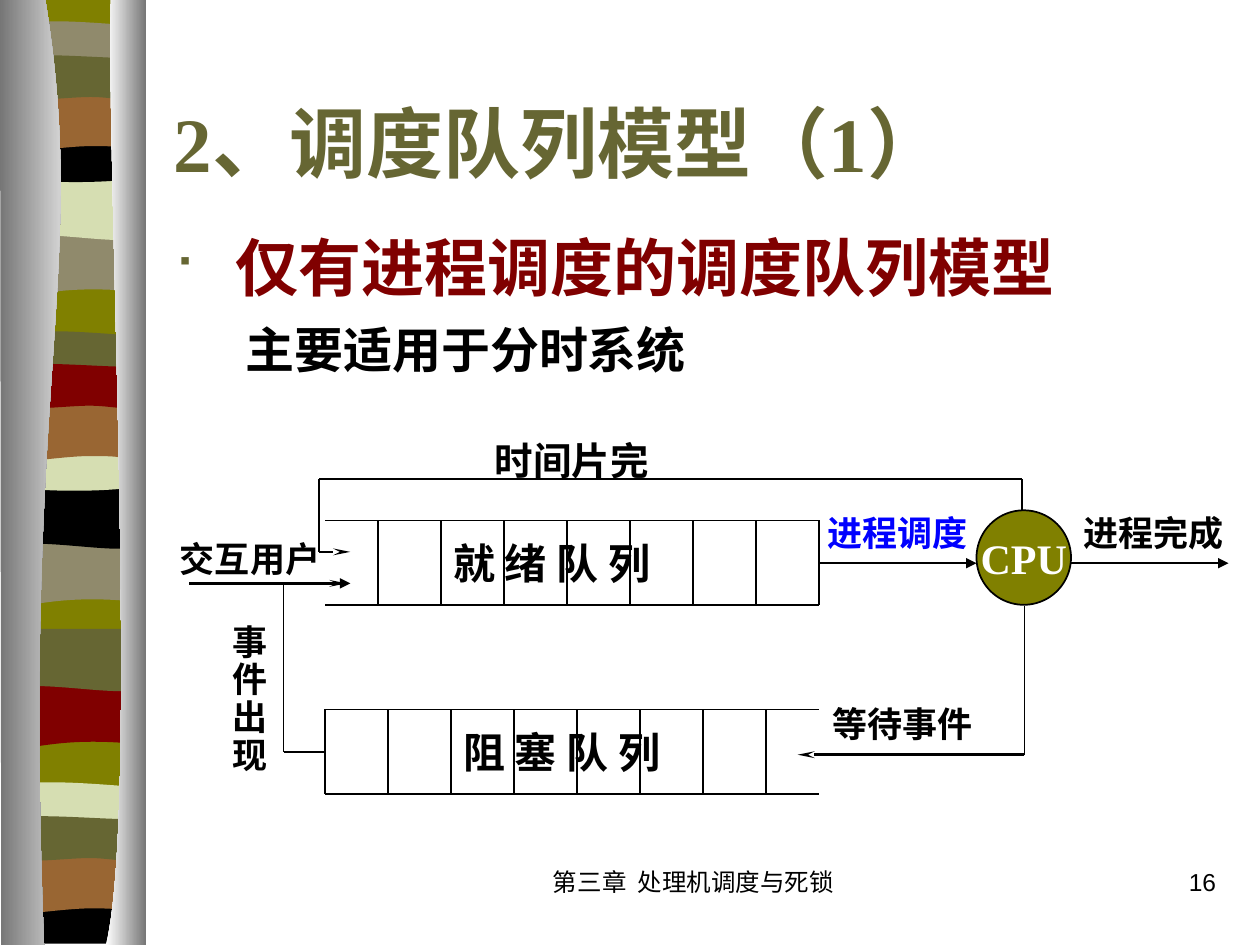
from pptx import Presentation
from pptx.dml.color import RGBColor
from pptx.enum.shapes import MSO_CONNECTOR, MSO_SHAPE
from pptx.enum.text import MSO_ANCHOR, PP_ALIGN
from pptx.oxml.ns import qn
from pptx.util import Inches, Pt
from lxml.etree import SubElement

BLACK = RGBColor(0x00, 0x00, 0x00)
WHITE = RGBColor(0xFF, 0xFF, 0xFF)
OLIVE = RGBColor(0x80, 0x80, 0x00)
MOSS = RGBColor(0x66, 0x66, 0x33)
STONE = RGBColor(0x90, 0x8A, 0x6C)
PALE = RGBColor(0xD6, 0xDE, 0xB2)
BROWN = RGBColor(0x99, 0x66, 0x33)
MAROON = RGBColor(0x80, 0x00, 0x00)
BLUE = RGBColor(0x00, 0x00, 0xFF)
GREY = RGBColor(0x76, 0x76, 0x76)

SERIF, CJK, SANS = "Times New Roman", "Noto Sans CJK SC", "Arial"

# Stripe outlines from their top left corner: 2 numbers are a line, 6 a curve
LOW_WAVE = [(1.08, 0), (1.08, 0.47), (0.33, 0.39, 0.18, 0.55, 0, 0.47), (0, 0)]
HIGH_WAVE = [(1.08, 0), (1.08, 0.47), (0.9, 0.55, 0.33, 0.41, 0, 0.47), (0, 0)]
CREST = [(1.08, 0.05), (1.08, 0.29), (0.9, 0.33, 0.18, 0.33, 0, 0.29), (0, 0.05),
         (0.06, 0, 0.23, 0.01, 0.41, 0.01), (0.59, 0.01, 0.94, 0.04, 1.08, 0.05)]
BOWL = [(1.08, 0), (1.08, 0.32), (0.9, 0.38, 0.18, 0.38, 0, 0.32), (0, 0),
        (0.66, 0.05, 0.85, 0, 1.08, 0)]
TROUGH = [(1.08, 0), (1.08, 0.37), (0.01, 0.37), (0, 0), (0.66, 0.05, 0.85, 0, 1.08, 0)]
ARCH = [(1.08, 0), (1.08, 0.47), (0.91, 0.42, 0.84, 0.42, 0.66, 0.42),
        (0.48, 0.42, 0.16, 0.47, 0, 0.47), (0, 0)]
RIPPLE = [(1.08, 0.05), (1.08, 0.36), (1.01, 0.41, 0.84, 0.36, 0.66, 0.36),
          (0.48, 0.36, 0.11, 0.41, 0, 0.36), (0, 0.05),
          (0.15, 0, 0.73, 0.05, 0.91, 0.05), (1.09, 0.05, 1.04, 0.05, 1.08, 0.05)]
BASE = [(1.08, 0), (1.08, 7.48), (0, 7.48), (0, 0)]

# Outline, left, top, colour, from back to front
STRIPES = [
    (BASE, 0.06, -0.01, OLIVE),
    (LOW_WAVE, 0.06, 1.85, STONE), (HIGH_WAVE, 0.06, 1.41, PALE),
    (CREST, 0.06, 0.16, STONE), (BOWL, 0.06, 1.08, BLACK),
    (ARCH, 0.06, 0.74, BROWN), (RIPPLE, 0.06, 0.41, MOSS),
    (LOW_WAVE, 0.05, 4.31, STONE), (HIGH_WAVE, 0.05, 3.86, BLACK),
    (CREST, 0.05, 2.62, MOSS), (BOWL, 0.05, 3.53, PALE),
    (ARCH, 0.05, 3.2, BROWN), (RIPPLE, 0.05, 2.86, MAROON),
    (LOW_WAVE, 0.06, 5.44, MAROON), (HIGH_WAVE, 0.06, 4.99, MOSS),
    (CREST, 0.05, 6.2, PALE), (TROUGH, 0.05, 7.12, BLACK),
    (ARCH, 0.05, 6.79, BROWN), (RIPPLE, 0.05, 6.45, MOSS),
]
LEFT_CURTAIN = [(0.36, 0), (0.71, 2.16, 0.17, 2.96, 0.35, 7.5), (0.01, 7.5), (0, 0)]
RIGHT_CURTAIN = [(0.88, 0), (0.84, 1.25, 1.11, 6.46, 0.84, 7.5), (1.16, 7.5), (1.16, 0)]

# Text, left, top, width, height, size, colour
LABELS = [
    ("就 绪 队 列", 3.5, 4.22, 2.25, 0.5, 24, BLACK),
    ("阻 塞 队 列", 3.58, 5.72, 2.25, 0.5, 24, BLACK),
    ("时间片完", 3.83, 3.42, 1.67, 0.47, 22, BLACK),
    ("进程调度", 6.47, 4.01, 1.33, 0.44, 20, BLUE),
    ("等待事件", 6.51, 5.53, 1.33, 0.44, 20, BLACK),
    ("进程完成", 8.5, 4.01, 1.5, 0.44, 20, BLACK),
    ("交互用户", 1.33, 4.22, 1.67, 0.44, 20, BLACK),
]
# x1, y1, x2, y2, arrowhead
ARROWS = [
    (6.5, 4.47, 7.75, 4.47, "triangle"), (8.5, 4.47, 9.75, 4.47, "triangle"),
    (1.53, 4.63, 2.78, 4.63, "triangle"), (1.5, 4.63, 2.75, 4.63, "stealth"),
    (2.53, 4.38, 2.78, 4.38, "stealth"), (8.13, 5.99, 6.33, 5.99, "stealth"),
]
LINKS = [
    (8.11, 4.05, 8.11, 3.8), (8.11, 3.8, 2.53, 3.8), (2.53, 3.8, 2.53, 4.38),
    (8.13, 4.81, 8.13, 5.99), (2.58, 5.97, 2.25, 5.97), (2.25, 5.97, 2.25, 4.63),
]


def add_outline(page, outline, left=0, top=0):
    """A closed outline; each curve's three segments become one Bézier curve."""
    places = [(Inches(left + part[i]), Inches(top + part[i + 1]))
              for part in outline for i in range(0, len(part), 2)]
    builder = page.shapes.build_freeform(*places[0])
    builder.add_line_segments(places[1:], close=True)
    shape = builder.convert_to_shape()
    segments = iter(list(shape._element.iter(qn("a:lnTo"))))
    for part in outline[1:]:
        first = next(segments)
        if len(part) == 6:
            first.tag = qn("a:cubicBezTo")
            for segment in (next(segments), next(segments)):
                first.append(segment[0])
                segment.getparent().remove(segment)
    shape.shadow.inherit = False
    shape.line.fill.background()
    return shape


def add_stripe(page, outline, left, top, color):
    shape = add_outline(page, outline, left, top)
    shape.fill.solid()
    shape.fill.fore_color.rgb = color


def add_curtain(page, outline, colors):
    fill = add_outline(page, outline).fill
    fill.gradient()
    fill.gradient_angle = 0
    for stop, color in zip(fill.gradient_stops, colors):
        stop.color.rgb = color


def style(para, size, color, font, bold=True):
    para.font.size = Pt(size)
    para.font.name = font
    para.font.bold = bold
    para.font.color.rgb = color


def add_text(page, text, left, top, width, height, size, color, font=CJK, bold=True,
             bullet=None):
    box = page.shapes.add_textbox(Inches(left), Inches(top), Inches(width), Inches(height))
    box.text_frame.word_wrap = True
    para = box.text_frame.paragraphs[0]
    para.text = text
    if bullet:
        add_bullet(para, *bullet)
    style(para, size, color, font, bold)
    return box


def add_bullet(para, color, percent, indent):
    props = para._p.get_or_add_pPr()
    props.set("marL", str(Inches(indent)))
    props.set("indent", str(-Inches(indent)))
    bullet_color = SubElement(props, qn("a:buClr"))
    SubElement(bullet_color, qn("a:srgbClr"), val=str(color))
    SubElement(props, qn("a:buSzPct"), val=str(percent * 1000))
    SubElement(props, qn("a:buFont"), typeface="Wingdings", charset="2")
    SubElement(props, qn("a:buChar"), char="■")


def add_line(page, x1, y1, x2, y2, head=None):
    line = page.shapes.add_connector(
        MSO_CONNECTOR.STRAIGHT, Inches(x1), Inches(y1), Inches(x2), Inches(y2))
    line.line.color.rgb = BLACK
    line.line.width = Pt(1.5 if head else 1)
    if head:
        end = SubElement(line.line._get_or_add_ln(), qn("a:tailEnd"), type=head)
        if head == "stealth":
            end.set("w", "sm")
            end.set("len", "lg")
    SubElement(line._element.spPr, qn("a:effectLst"))


def add_queue(page, top, first_cell):
    """Two rails and eight cell walls, half an inch apart."""
    bottom = top + 0.67
    for y in (top, bottom):
        add_line(page, 2.58, y, 6.5, y)
    for cell in range(8):
        x = first_cell + 0.5 * cell
        add_line(page, x, top, x, bottom)


def add_cpu(page):
    cpu = page.shapes.add_shape(
        MSO_SHAPE.OVAL, Inches(7.75), Inches(4.05), Inches(0.75), Inches(0.75))
    cpu.shadow.inherit = False
    cpu.fill.solid()
    cpu.fill.fore_color.rgb = OLIVE
    cpu.line.color.rgb = BLACK
    cpu.line.width = Pt(1)
    cpu.text_frame.word_wrap = False
    para = cpu.text_frame.paragraphs[0]
    para.text = "CPU"
    para.alignment = PP_ALIGN.CENTER
    style(para, 24, WHITE, SERIF)


def main():
    deck = Presentation()
    deck.slide_width, deck.slide_height = Inches(10), Inches(7.5)
    page = deck.slides.add_slide(deck.slide_layouts[6])

    # Ribbon at the left edge
    for stripe in STRIPES:
        add_stripe(page, *stripe)
    add_curtain(page, LEFT_CURTAIN, (GREY, WHITE))
    add_curtain(page, RIGHT_CURTAIN, (WHITE, GREY))

    # Headings
    body = add_text(page, " 仅有进程调度的调度队列模型", 1.28, 1.83, 8.38, 0.75,
                    36, MAROON, SERIF, bullet=(MOSS, 80, 0.38))
    body.text_frame.paragraphs[0].line_spacing = 0.9
    title = add_text(page, "2、调度队列模型（1）", 1.28, 0.5, 8.5, 1.25, 44, MOSS, SERIF)
    title.text_frame.vertical_anchor = MSO_ANCHOR.MIDDLE
    add_text(page, "主要适用于分时系统", 1.85, 2.49, 4.25, 0.57, 28, BLACK, SERIF)

    # Queues, processor and the flow between them
    add_queue(page, 4.13, 3)
    add_queue(page, 5.63, 2.58)
    add_line(page, 6.5, 4.13, 6.5, 4.8)
    add_cpu(page)
    for label in LABELS:
        add_text(page, *label)
    event = add_text(page, "事件出现", 1.75, 4.91, 0.5, 1.3, 20, BLACK)
    event.text_frame.paragraphs[0].line_spacing = 0.9
    for line in LINKS + ARROWS:
        add_line(page, *line)

    # Footer
    for text, left, width, alignment in (
            ("第三章  处理机调度与死锁", 3.92, 3.17, PP_ALIGN.CENTER),
            ("16", 7.67, 2.08, PP_ALIGN.RIGHT)):
        footer = add_text(page, text, left, 6.83, width, 0.5, 14, BLACK, SANS, False)
        footer.text_frame.paragraphs[0].alignment = alignment

    deck.save("out.pptx")


if __name__ == "__main__":
    main()
